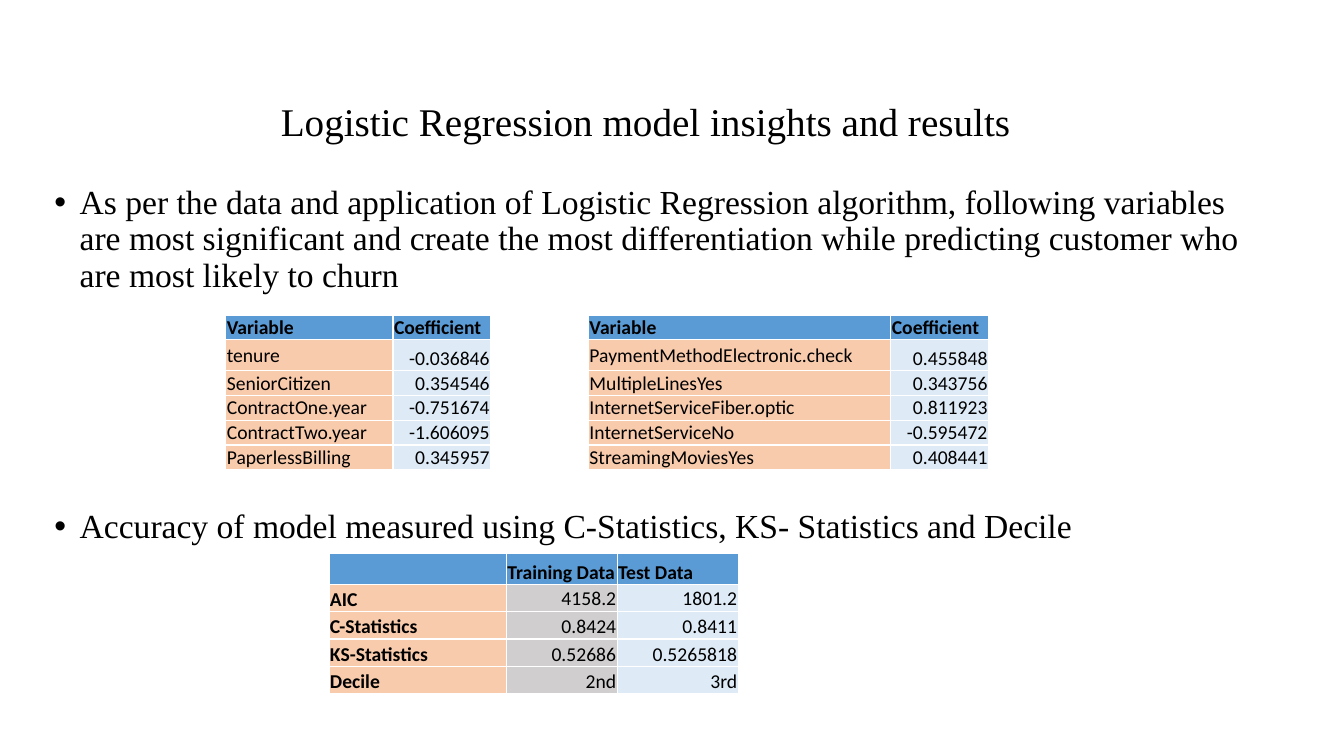
from lxml import etree
from pptx import Presentation
from pptx.dml.color import RGBColor
from pptx.enum.text import MSO_ANCHOR, MSO_AUTO_SIZE, PP_ALIGN
from pptx.oxml.ns import qn
from pptx.util import Pt

LEFT, CENTER, RIGHT = PP_ALIGN.LEFT, PP_ALIGN.CENTER, PP_ALIGN.RIGHT
MIDDLE, BOTTOM = MSO_ANCHOR.MIDDLE, MSO_ANCHOR.BOTTOM
NO_FIT = MSO_AUTO_SIZE.NONE

SERIF, SANS = "Times New Roman", "Calibri"
BLACK, WHITE = "000000", "FFFFFF"
BLUE, PEACH, PALE_BLUE, GREY = "5B9BD5", "F8CBAD", "DEEBF7", "D0CECE"
CELL_SIZE = 14

FINDING = ("As per the data and application of Logistic Regression algorithm, "
           "following variables are most significant and create the most "
           "differentiation while predicting customer who are most likely to churn")
ACCURACY = "Accuracy of model measured using C-Statistics, KS- Statistics and Decile"

COEFFICIENTS = [
    ["Variable", "Coefficient", "", "Variable", "Coefficient"],
    ["tenure", "-0.036846", "", "PaymentMethodElectronic.check", "0.455848"],
    ["SeniorCitizen", "0.354546", "", "MultipleLinesYes", "0.343756"],
    ["ContractOne.year", "-0.751674", "", "InternetServiceFiber.optic", "0.811923"],
    ["ContractTwo.year", "-1.606095", "", "InternetServiceNo", "-0.595472"],
    ["PaperlessBilling", "0.345957", "", "StreamingMoviesYes", "0.408441"],
]
MEASURES = [
    ["", "Training Data", "Test Data"],
    ["AIC", "4158.2", "1801.2"],
    ["C-Statistics", "0.8424", "0.8411"],
    ["KS-Statistics", "0.52686", "0.5265818"],
    ["Decile", "2nd", "3rd"],
]


def color(hex_value):
    return RGBColor.from_string(hex_value)


def apply(target, values):
    for name, value in values.items():
        setattr(target, name, value)


def add_text(paragraph, text, size, font, bold=False):
    run = paragraph.add_run()
    run.text = text
    apply(run.font, {"size": Pt(size), "name": font, "bold": bold})
    run.font.color.rgb = color(BLACK)


def place(placeholder, left, top, width, height):
    apply(placeholder, {"left": Pt(left), "top": Pt(top),
                        "width": Pt(width), "height": Pt(height)})
    placeholder.text_frame.auto_size = NO_FIT


def fill_title(title, text):
    place(title, 89.3, 50.4, 733.7, 67.7)
    title.text_frame.vertical_anchor = MIDDLE
    heading = title.text_frame.paragraphs[0]
    apply(heading, {"alignment": CENTER, "line_spacing": 0.9})
    add_text(heading, " ", 40, SERIF, bold=True)
    add_text(heading, text, 28, SERIF)


def fill_bullets(body, bullets):
    """Each bullet is its text and the space above it."""
    place(body, 31.7, 128.9, 879, 381)
    frame = body.text_frame
    for index, (text, space) in enumerate(bullets):
        bullet = frame.add_paragraph() if index else frame.paragraphs[0]
        apply(bullet, {"line_spacing": 0.9, "space_before": Pt(space)})
        indents = bullet._p.get_or_add_pPr()
        indents.set("marL", str(Pt(18)))
        indents.set("indent", str(Pt(-18)))
        add_text(bullet, text, 24, SERIF)


def add_borders(cell):
    properties = cell._tc.get_or_add_tcPr()
    for index, side in enumerate(("a:lnL", "a:lnR", "a:lnT", "a:lnB")):
        line = etree.Element(qn(side), w=str(Pt(1)))
        fill = etree.SubElement(line, qn("a:solidFill"))
        etree.SubElement(fill, qn("a:srgbClr"), val=WHITE)
        properties.insert(index, line)


def format_cell(cell, text, fill, bold, align, anchor):
    apply(cell, {"margin_left": Pt(0.72), "margin_right": Pt(0.72),
                 "margin_top": Pt(0.72), "margin_bottom": 0,
                 "vertical_anchor": anchor})
    if fill:
        cell.fill.solid()
        cell.fill.fore_color.rgb = color(fill)
    else:
        cell.fill.background()
    add_borders(cell)
    paragraph = cell.text_frame.paragraphs[0]
    paragraph.alignment = align
    if text:
        add_text(paragraph, text, CELL_SIZE, SANS, bold)
    else:
        # An empty cell must not stretch its row
        paragraph._p.get_or_add_endParaRPr().set("sz", str(CELL_SIZE * 100))


def add_data_table(slide, left, top, widths, heights, rows, cell_style):
    table = slide.shapes.add_table(len(rows), len(widths), Pt(left), Pt(top),
                                   Pt(sum(widths)), Pt(sum(heights))).table
    apply(table, {"first_row": False, "horz_banding": False})
    for column, width in zip(table.columns, widths):
        column.width = Pt(width)
    for row, height in zip(table.rows, heights):
        row.height = Pt(height)
    for r, texts in enumerate(rows):
        for c, text in enumerate(texts):
            format_cell(table.cell(r, c), text, *cell_style(r, c))


def coefficient_style(row, column):
    """Fill, bold, alignment and anchor of a coefficient cell."""
    if column == 2:
        return None, False, LEFT, BOTTOM
    if row == 0:
        return BLUE, True, LEFT, BOTTOM
    if column in (0, 3):
        return PEACH, False, LEFT, MIDDLE
    return PALE_BLUE, False, RIGHT, BOTTOM


def measure_style(row, column):
    """Fill, bold, alignment and anchor of an accuracy cell."""
    if row == 0:
        return BLUE, True, LEFT, BOTTOM
    if column == 0:
        return PEACH, True, LEFT, BOTTOM
    return (GREY if column == 1 else PALE_BLUE, False, RIGHT,
            MIDDLE if row == 1 else BOTTOM)


def main():
    presentation = Presentation()
    apply(presentation, {"slide_width": Pt(960), "slide_height": Pt(540)})
    slide = presentation.slides.add_slide(presentation.slide_layouts[1])
    title, body = slide.placeholders

    # Title and findings; the second finding sits below the coefficients
    fill_title(title, "Logistic Regression model insights and results")
    fill_bullets(body, [(FINDING, 10), (ACCURACY, 154)])

    # Coefficients in two groups, parted by an unfilled column
    add_data_table(slide, 161.3, 225, [119.5, 69.8, 69.8, 216, 69.8],
                   [17.8, 21.8] + [17.8] * 4, COEFFICIENTS, coefficient_style)

    # Accuracy measures
    add_data_table(slide, 235, 395.3, [126.7, 79.2, 86.4],
                   [22] + [19.6] * 4, MEASURES, measure_style)

    presentation.save("out.pptx")


main()
